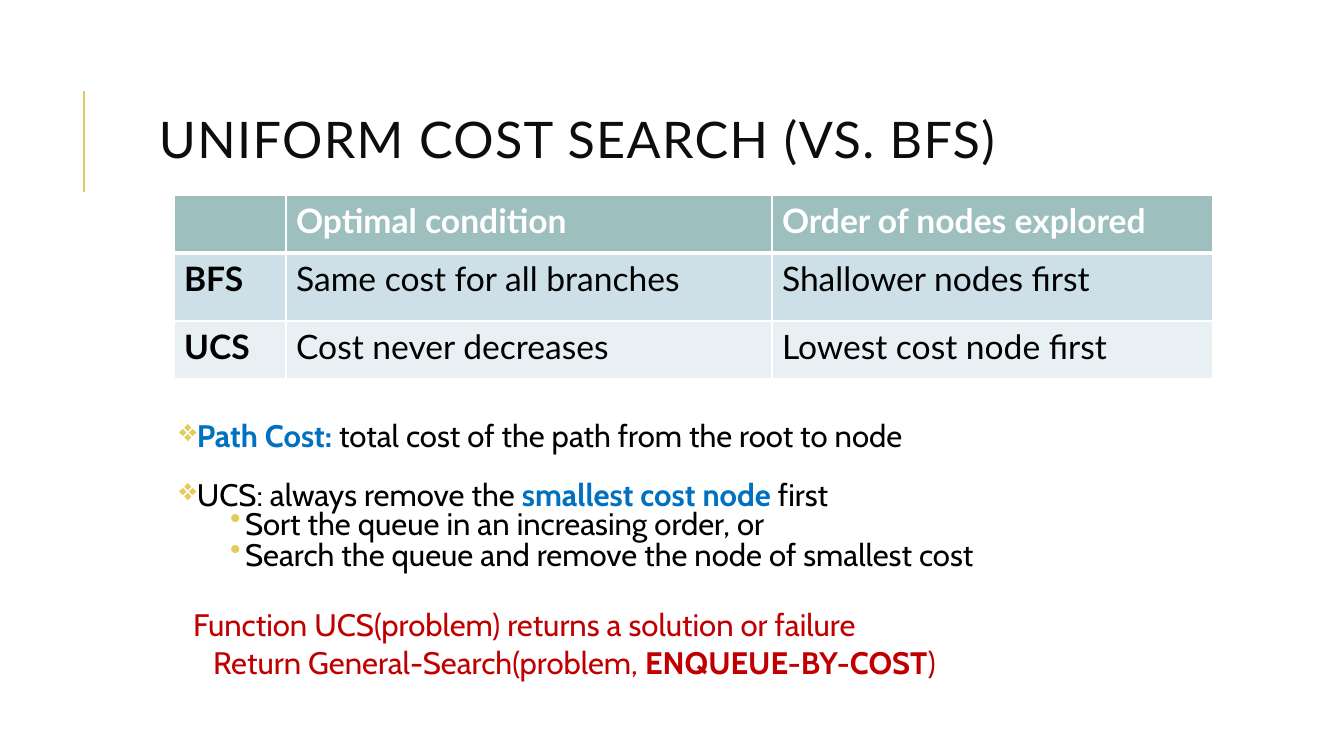
from lxml.etree import SubElement
from pptx import Presentation
from pptx.dml.color import RGBColor
from pptx.enum.shapes import MSO_CONNECTOR as Connector
from pptx.enum.text import MSO_ANCHOR as Anchor
from pptx.oxml import parse_xml
from pptx.oxml.ns import nsdecls, qn
from pptx.util import Pt

# Content
TITLE = "UNIFORM COST SEARCH (VS. BFS)"
COMPARISON = [
    ("", "Optimal condition", "Order of nodes explored"),
    ("BFS", "Same cost for all branches", "Shallower nodes first"),
    ("UCS", "Cost never decreases", "Lowest cost node first"),
]
# Each line: level, extra space after in pt, runs of (text, style)
NOTES = [
    ("point", 21, [("Path Cost: ", "key"),
                   ("total cost of the path from the root to node", "plain")]),
    ("point", 0, [("UCS: always remove the ", "plain"),
                  ("smallest cost node ", "key"), ("first", "plain")]),
    ("detail", 0, [("Sort the queue in an increasing order, or", "plain")]),
    ("detail", 23, [("Search the queue and remove the node of smallest cost", "plain")]),
    ("function", 0, [("Function UCS(problem) returns a solution or failure", "code")]),
    ("body", 0, [("Return General-Search(problem, ", "code"),
                 ("ENQUEUE-BY-COST", "code_key"), (")", "code")]),
]

THEME = {
    "heading_font": "Lato", "notes_font": "Cabin",
    "title_size": 36, "table_size": 24, "notes_size": 22.2,
    "title": "0D0D0D", "accent": "E3CC5A", "border": "FFFFFF",
    "header_text": "FFFFFF", "cell_text": "000000",
    "row_fills": ("9DBFBE", "CDE0E8", "E8F0F4"),
    # colour, bold
    "styles": {"plain": ("000000", False), "key": ("0070C0", True),
               "code": ("C00000", False), "code_key": ("C00000", True)},
}
# Left margin px, first-line indent px, bullet, space before pt, space after pt
LEVELS = {
    "point": (10, -10, "❖", 0, 2),
    "detail": (66, -15, "•", 0, 4),
    "function": (14, 0, None, 4.4, 4),
    "body": (34, 0, None, 4.4, 4),
}

# Layout in px
SLIDE = (1344, 756)
TITLE_BOX = (149, 62, 941, 165)
TABLE_AT = (174, 195)
COLUMNS = (112, 486, 441)
ROWS = (58, 68, 58)
NOTES_BOX = (174, 422, sum(COLUMNS), 291)
NOTES_INSET = 5
RULE_X, RULE_TOP, RULE_BOTTOM = 84, 91, 192


def px(value):
    return round(value * 914400 / 100.8)


def box(values):
    return [px(v) for v in values]


def style(run, font, size, color, bold=False):
    run.font.name = font
    run.font.size = Pt(size)
    run.font.bold = bold
    run.font.color.rgb = RGBColor.from_string(color)


def set_borders(cell, widths):
    """Widths in pt, in the order left, right, top, bottom."""
    properties = cell._tc.get_or_add_tcPr()
    for place, (side, width) in enumerate(zip("LRTB", widths)):
        properties.insert(place, parse_xml(
            f'<a:ln{side} {nsdecls("a")} w="{Pt(width)}"><a:solidFill>'
            f'<a:srgbClr val="{THEME["border"]}"/></a:solidFill></a:ln{side}>'))


def set_level(paragraph, level, extra_after):
    margin, indent, bullet, before, after = LEVELS[level]
    paragraph.line_spacing = 0.7
    paragraph.space_before = Pt(before)
    paragraph.space_after = Pt(after + extra_after)
    properties = paragraph._p.get_or_add_pPr()
    properties.set("marL", str(px(margin)))
    properties.set("indent", str(px(indent)))
    if bullet:
        color = SubElement(properties, qn("a:buClr"))
        SubElement(color, qn("a:srgbClr")).set("val", THEME["accent"])
        SubElement(properties, qn("a:buChar")).set("char", bullet)
    else:
        SubElement(properties, qn("a:buNone"))


def add_title(slide):
    rule = slide.shapes.add_connector(
        Connector.STRAIGHT, *box((RULE_X, RULE_BOTTOM, RULE_X, RULE_TOP)))
    rule.line.color.rgb = RGBColor.from_string(THEME["accent"])
    rule.line.width = Pt(1.5)
    SubElement(rule._element.spPr, qn("a:effectLst"))

    frame = slide.shapes.add_textbox(*box(TITLE_BOX)).text_frame
    frame.word_wrap = True
    frame.vertical_anchor = Anchor.MIDDLE
    heading = frame.paragraphs[0]
    heading.text = TITLE
    heading.line_spacing = 0.8
    heading.space_after = Pt(3)
    style(heading.runs[0], THEME["heading_font"], THEME["title_size"], THEME["title"])
    heading.runs[0].font._element.set("spc", "100")


def add_comparison(slide):
    comparison = slide.shapes.add_table(
        len(ROWS), len(COLUMNS), *box((*TABLE_AT, sum(COLUMNS), sum(ROWS)))).table
    for column, width in zip(comparison.columns, COLUMNS):
        column.width = px(width)
    for r, (labels, height) in enumerate(zip(COMPARISON, ROWS)):
        comparison.rows[r].height = px(height)
        for c, label in enumerate(labels):
            cell = comparison.cell(r, c)
            cell.fill.solid()
            cell.fill.fore_color.rgb = RGBColor.from_string(THEME["row_fills"][r])
            set_borders(cell, (1, 1, 3 if r == 1 else 1, 3 if r == 0 else 1))
            cell.text_frame.text = label
            color = THEME["cell_text" if r else "header_text"]
            for run in cell.text_frame.paragraphs[0].runs:
                style(run, THEME["heading_font"], THEME["table_size"], color,
                      r == 0 or c == 0)


def add_notes(slide):
    frame = slide.shapes.add_textbox(*box(NOTES_BOX)).text_frame
    frame.word_wrap = True
    frame.margin_left = frame.margin_right = px(NOTES_INSET)
    frame.margin_top = frame.margin_bottom = px(NOTES_INSET)
    for i, (level, extra_after, parts) in enumerate(NOTES):
        line = frame.add_paragraph() if i else frame.paragraphs[0]
        set_level(line, level, extra_after)
        for text, look in parts:
            run = line.add_run()
            run.text = text
            style(run, THEME["notes_font"], THEME["notes_size"], *THEME["styles"][look])


def main():
    deck = Presentation()
    deck.slide_width, deck.slide_height = box(SLIDE)
    slide = deck.slides.add_slide(deck.slide_layouts[6])
    add_title(slide)
    add_notes(slide)
    add_comparison(slide)
    deck.save("out.pptx")


if __name__ == "__main__":
    main()
